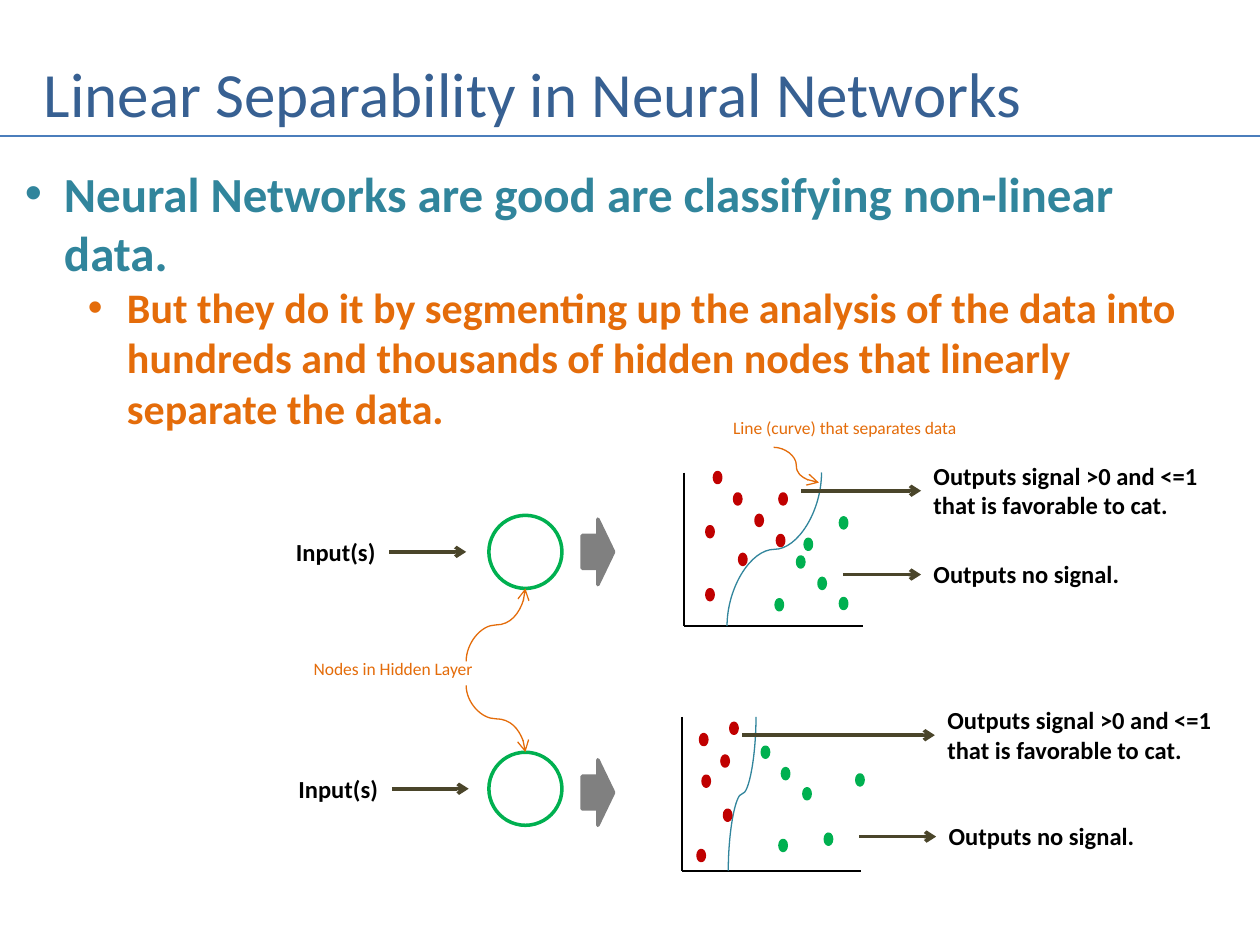
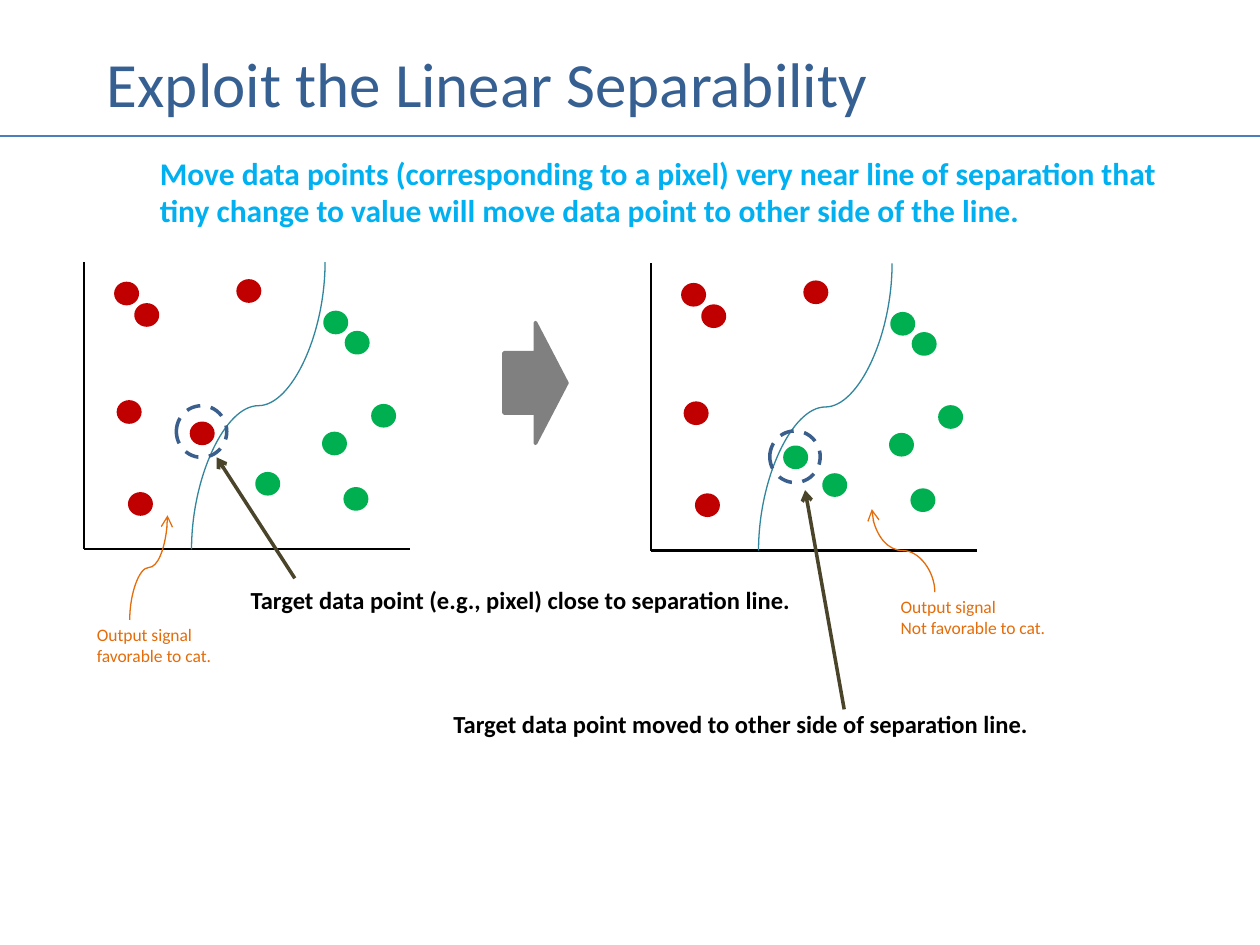
from dataclasses import dataclass
from typing import Any, Optional

import lxml.etree
import pptx
import pptx.dml.color
import pptx.enum.dml
import pptx.enum.shapes
import pptx.enum.text
import pptx.oxml.ns
import pptx.util

Inches = pptx.util.Inches
SHAPES = pptx.enum.shapes.MSO_SHAPE
CONNECTORS = pptx.enum.shapes.MSO_CONNECTOR
Point = tuple[float, float]

FONT = "Calibri"
TITLE_BLUE = "376092"
RULE_BLUE = "4B7EBC"
RING_BLUE = "3A5F8C"
TEAL = "31859C"
SKY = "00B0F0"
ORANGE = "E46C0A"
RED = "C00000"
GREEN = "00B050"
GRAY = "808080"
OLIVE = "4A452A"
BLACK = "000000"

TITLE = {"size": 36, "bold": False, "color": TITLE_BLUE}
LEAD = {"size": 18, "bold": True, "color": SKY}
LABEL = {"size": 14, "bold": True, "color": BLACK}
NOTE = {"size": 10, "bold": False, "color": ORANGE}
BULLETS = (
    (0, 0.31, {"size": 28, "bold": True, "color": TEAL},
     "Neural Networks are good are classifying non-linear data."),
    (1, 0.81, {"size": 24, "bold": True, "color": ORANGE},
     "But they do it by segmenting up the analysis of the data into "
     "hundreds and thousands of hidden nodes that linearly separate the data."),
)
BULLET_HANG = 0.31


@dataclass(frozen=True)
class Label:
    lines: tuple[str, ...]
    left: float
    top: float
    width: float
    height: float
    style: dict[str, Any]
    arrow_to: Optional[float] = None
    arrow_from: Optional[float] = None


@dataclass(frozen=True)
class Plot:
    origin: Point
    width: float
    height: float
    curve_top: float
    curve_bottom: float
    dot_size: Point
    red: tuple[Point, ...]
    green: tuple[Point, ...]


@dataclass(frozen=True)
class Arrow:
    start: Point
    end: Point


SMALL_DOT = (0.05, 0.08)
LARGE_DOT = (0.17, 0.16)

SIGNAL = ("Outputs signal >0 and <=1", "that is favorable to cat.")
NO_SIGNAL = ("Outputs no signal.",)

NETWORK_PLOTS = (
    Plot((5.43, 3.75), 1.42, 1.22, 1.09, 0.34, SMALL_DOT,
         ((0.24, 0), (0.4, 0.17), (0.57, 0.34), (0.74, 0.5),
          (0.44, 0.65), (0.76, 0.17), (0.18, 0.93), (0.18, 0.43)),
         ((0.9, 0.67), (1.07, 0.84), (0.96, 0.53),
          (1.24, 1), (0.73, 1.01), (1.24, 0.36))),
    Plot((5.41, 5.69), 1.42, 1.22, 0.59, 0.37, SMALL_DOT,
         ((0.15, 0.14), (0.17, 0.47), (0.39, 0.05),
          (0.34, 0.74), (0.32, 0.31), (0.13, 1.06)),
         ((0.64, 0.24), (0.8, 0.41), (0.97, 0.57),
          (0.78, 0.98), (1.39, 0.46), (1.14, 0.93))),
)
NETWORK_LABELS = (
    Label(("Input(s)",), 2.25, 4.21, 0.84, 0.34, LABEL, arrow_to=3.7),
    Label(("Input(s)",), 2.27, 6.09, 0.84, 0.34, LABEL, arrow_to=3.72),
    Label(SIGNAL, 7.31, 3.61, 2.31, 0.57, LABEL, arrow_from=6.36),
    Label(NO_SIGNAL, 7.31, 4.39, 1.69, 0.34, LABEL, arrow_from=6.69),
    Label(SIGNAL, 7.42, 5.55, 2.31, 0.57, LABEL, arrow_from=5.89),
    Label(NO_SIGNAL, 7.43, 6.47, 1.69, 0.34, LABEL, arrow_from=6.82),
    Label(("Nodes in Hidden Layer",), 2.39, 5.17, 1.48, 0.27, NOTE),
    Label(("Line (curve) that separates data",), 5.72, 3.26, 2, 0.27, NOTE),
)
NODE_TOPS = (4.09, 5.97)
BLOCK_ARROW_TOPS = (4.12, 6.03)
NODE_POINTERS = (Arrow((3.7, 5.25), (4.17, 4.67)), Arrow((3.7, 5.44), (4.17, 5.97)))

PIXEL_RED = ((0.25, 0.17), (0.41, 0.34), (1.22, 0.15), (0.27, 1.11), (0.36, 1.84))
PIXEL_GREEN = ((1.91, 0.4), (2.08, 0.56), (1.9, 1.36),
               (2.29, 1.14), (1.37, 1.68), (2.07, 1.8))
TARGET_BEFORE = (0.85, 1.28)
TARGET_AFTER = (1.06, 1.46)
PIXEL_PLOTS = (
    Plot((0.67, 2.08), 2.58, 2.28, 1.91, 0.85, LARGE_DOT,
         PIXEL_RED + (TARGET_BEFORE,), PIXEL_GREEN),
    Plot((5.17, 2.09), 2.58, 2.28, 1.91, 0.85, LARGE_DOT,
         PIXEL_RED, PIXEL_GREEN + (TARGET_AFTER,)),
)
PIXEL_LABELS = (
    Label(("Move data points (corresponding to a pixel) very near line of separation that",
           "tiny change to value will move data point to other side of the line."),
          1.17, 1.17, 8.18, 0.71, LEAD),
    Label(("Output signal", "favorable to cat."), 0.67, 4.9, 1.15, 0.44, NOTE),
    Label(("Output signal", "Not favorable to cat."), 7.05, 4.68, 1.37, 0.44, NOTE),
    Label(("Target data point (e.g., pixel) close to separation line.",),
          1.89, 4.59, 4.51, 0.34, LABEL),
    Label(("Target data point moved to other side of separation line.",),
          3.5, 5.58, 4.79, 0.34, LABEL),
)
TARGET_RINGS = ((1.4, 3.22), (6.11, 3.42))
TARGET_ARROWS = (Arrow((2.34, 4.59), (1.72, 3.63)), Arrow((6.7, 5.63), (6.39, 3.89)))
SIGNAL_POINTERS = (Arrow((1.03, 4.92), (1.33, 4.09)), Arrow((7.42, 4.7), (6.92, 4.04)))


def rgb(color: str) -> Any:
    return pptx.dml.color.RGBColor.from_string(color)


def apply_format(target: Any, values: dict[str, Any]) -> None:
    for name, value in values.items():
        setattr(target, name, value)


def add_element(parent: Any, tag: str, **attributes: str) -> Any:
    return lxml.etree.SubElement(parent, pptx.oxml.ns.qn(tag), attributes)


def write(para: Any, text: str, style: dict[str, Any]) -> None:
    span = para.add_run()
    span.text = text
    apply_format(span.font, {"name": FONT, "size": pptx.util.Pt(style["size"]),
                             "bold": style["bold"]})
    span.font.color.rgb = rgb(style["color"])


def add_box(page: Any, left: float, top: float, width: float, height: float,
            **frame_format: Any) -> Any:
    box = page.shapes.add_textbox(Inches(left), Inches(top), Inches(width), Inches(height))
    apply_format(box.text_frame, frame_format)
    return box


def add_line(page: Any, start: Point, end: Point, color: str, weight: float,
             kind: Any = CONNECTORS.STRAIGHT, arrow: bool = False) -> Any:
    line = page.shapes.add_connector(kind, *(Inches(value) for value in (*start, *end)))
    line.line.color.rgb = rgb(color)
    line.line.width = pptx.util.Pt(weight)
    if arrow:
        add_element(line.line._get_or_add_ln(), "a:tailEnd", type="arrow")
    add_element(line._element.spPr, "a:effectLst")
    return line


def add_upright_curve(page: Any, start: Point, end: Point, color: str,
                      arrow: bool = False) -> None:
    middle_x, middle_y = (start[0] + end[0]) / 2, (start[1] + end[1]) / 2
    across, down = start[0] - middle_x, start[1] - middle_y
    curve = add_line(page, (middle_x + down, middle_y - across),
                     (middle_x - down, middle_y + across),
                     color, 0.75, CONNECTORS.CURVE, arrow)
    curve._element.spPr.xfrm.set("rot", "5400000")


def add_figure(page: Any, kind: Any, position: Point, size: Point, line: str,
               fill: Optional[str] = None) -> Any:
    figure = page.shapes.add_shape(kind, *(Inches(value) for value in (*position, *size)))
    figure.shadow.inherit = False
    if fill:
        figure.fill.solid()
        figure.fill.fore_color.rgb = rgb(fill)
    else:
        figure.fill.background()
    figure.line.color.rgb = rgb(line)
    figure.line.width = pptx.util.Pt(2)
    return figure


def add_label(page: Any, label: Label) -> None:
    box = add_box(page, label.left, label.top, label.width, label.height, word_wrap=False,
                  auto_size=pptx.enum.text.MSO_AUTO_SIZE.SHAPE_TO_FIT_TEXT)
    for index, text in enumerate(label.lines):
        frame = box.text_frame
        write(frame.add_paragraph() if index else frame.paragraphs[0], text, label.style)
    middle = label.top + label.height / 2
    if label.arrow_to is not None:
        line = add_line(page, (label.left + label.width, middle), (label.arrow_to, middle),
                        OLIVE, 2, arrow=True)
        line.begin_connect(box, 3)
    if label.arrow_from is not None:
        line = add_line(page, (label.arrow_from, middle), (label.left, middle),
                        OLIVE, 2, arrow=True)
        line.end_connect(box, 1)


def add_plot(page: Any, plot: Plot) -> None:
    left, top = plot.origin
    bottom = top + plot.height
    add_line(page, (left, top), (left, bottom), BLACK, 1.25)
    add_line(page, (left, bottom), (left + plot.width, bottom), BLACK, 1.25)
    add_upright_curve(page, (left + plot.curve_top, top),
                      (left + plot.curve_bottom, bottom), TEAL)
    for color, dots in ((RED, plot.red), (GREEN, plot.green)):
        for x, y in dots:
            add_figure(page, SHAPES.OVAL, (left + x, top + y), plot.dot_size, color, color)


def add_page(deck: Any, title: str, left: float, top: float) -> Any:
    page = deck.slides.add_slide(deck.slide_layouts[6])
    box = add_box(page, left, top, 9.25, 0.87, word_wrap=True,
                  vertical_anchor=pptx.enum.text.MSO_ANCHOR.MIDDLE)
    write(box.text_frame.paragraphs[0], title, TITLE)
    add_line(page, (0, 1.08), (10, 1.08), RULE_BLUE, 1.5)
    return page


def add_bullets(page: Any) -> None:
    frame = add_box(page, 0.1, 1.25, 9.5, 2.26, word_wrap=True).text_frame
    for index, (level, indent, style, text) in enumerate(BULLETS):
        para = frame.add_paragraph() if index else frame.paragraphs[0]
        para.level = level
        properties = para._p.get_or_add_pPr()
        properties.set("marL", str(Inches(indent)))
        properties.set("indent", str(-Inches(BULLET_HANG)))
        add_element(properties, "a:buFont", typeface="Arial")
        add_element(properties, "a:buChar", char="•")
        write(para, text, style)


def build_network_page(deck: Any) -> None:
    page = add_page(deck, "Linear Separability in Neural Networks", 0.25, 0.3)
    add_bullets(page)
    for top in NODE_TOPS:
        add_figure(page, SHAPES.OVAL, (3.88, top), (0.58, 0.58), GREEN)
    for top in BLOCK_ARROW_TOPS:
        add_figure(page, SHAPES.RIGHT_ARROW, (4.62, top), (0.25, 0.52), GRAY, GRAY)
    for plot in NETWORK_PLOTS:
        add_plot(page, plot)
    for label in NETWORK_LABELS:
        add_label(page, label)
    for pointer in NODE_POINTERS:
        add_upright_curve(page, pointer.start, pointer.end, ORANGE, arrow=True)
    add_line(page, (6.14, 3.55), (6.5, 3.83), ORANGE, 0.75, CONNECTORS.CURVE, arrow=True)


def build_exploit_page(deck: Any) -> None:
    page = add_page(deck, "Exploit the Linear Separability", 0.75, 0.22)
    add_figure(page, SHAPES.RIGHT_ARROW, (4, 2.56), (0.5, 0.96), GRAY, GRAY)
    for plot in PIXEL_PLOTS:
        add_plot(page, plot)
    for position in TARGET_RINGS:
        ring = add_figure(page, SHAPES.OVAL, position, (0.4, 0.41), RING_BLUE)
        ring.line.dash_style = pptx.enum.dml.MSO_LINE.DASH
    for label in PIXEL_LABELS:
        add_label(page, label)
    for arrow in TARGET_ARROWS:
        add_line(page, arrow.start, arrow.end, OLIVE, 2, arrow=True)
    for pointer in SIGNAL_POINTERS:
        add_upright_curve(page, pointer.start, pointer.end, ORANGE, arrow=True)


def main() -> None:
    deck = pptx.Presentation()
    apply_format(deck, {"slide_width": Inches(10), "slide_height": Inches(7.5)})
    build_network_page(deck)
    build_exploit_page(deck)
    deck.save("out.pptx")


if __name__ == "__main__":
    main()
